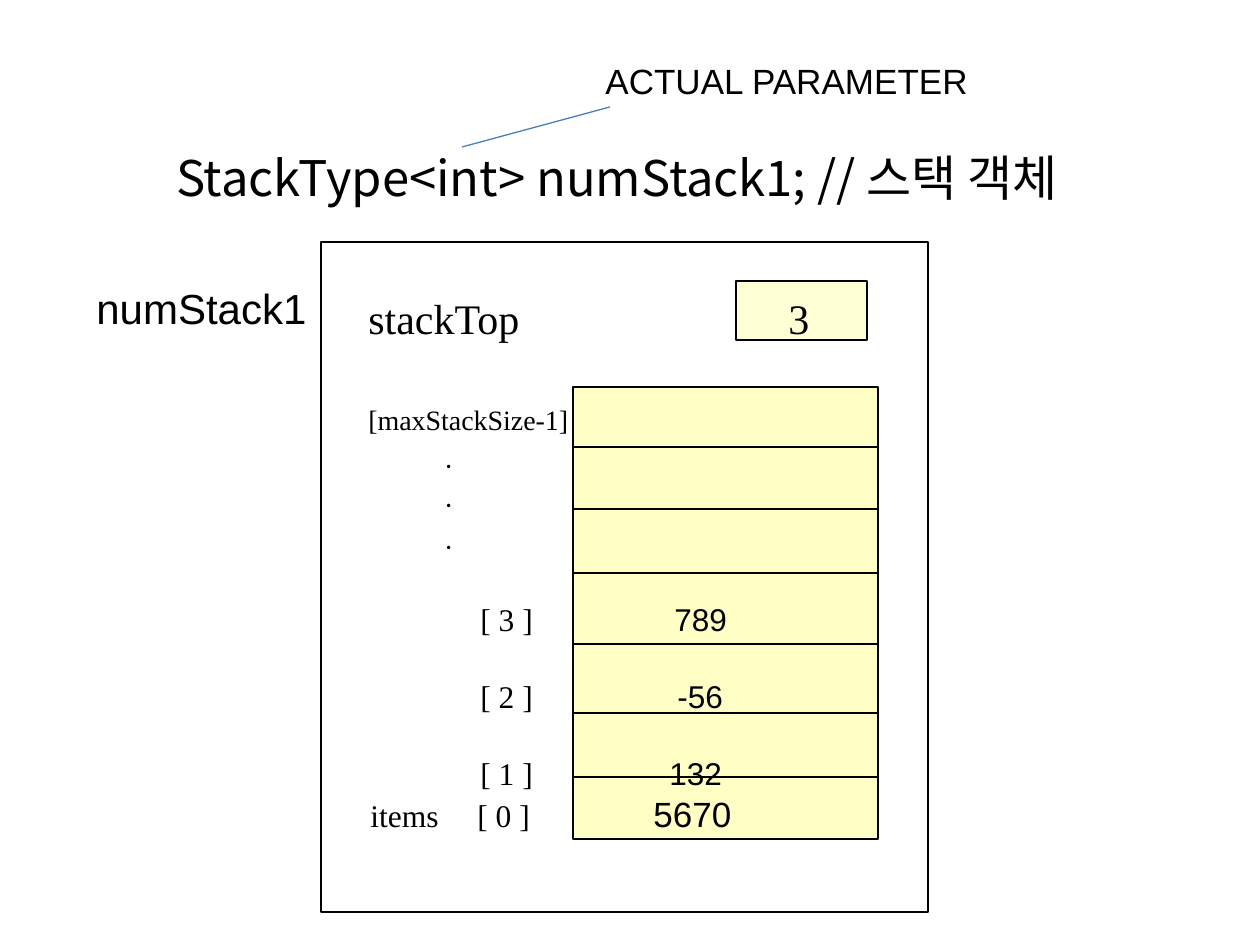
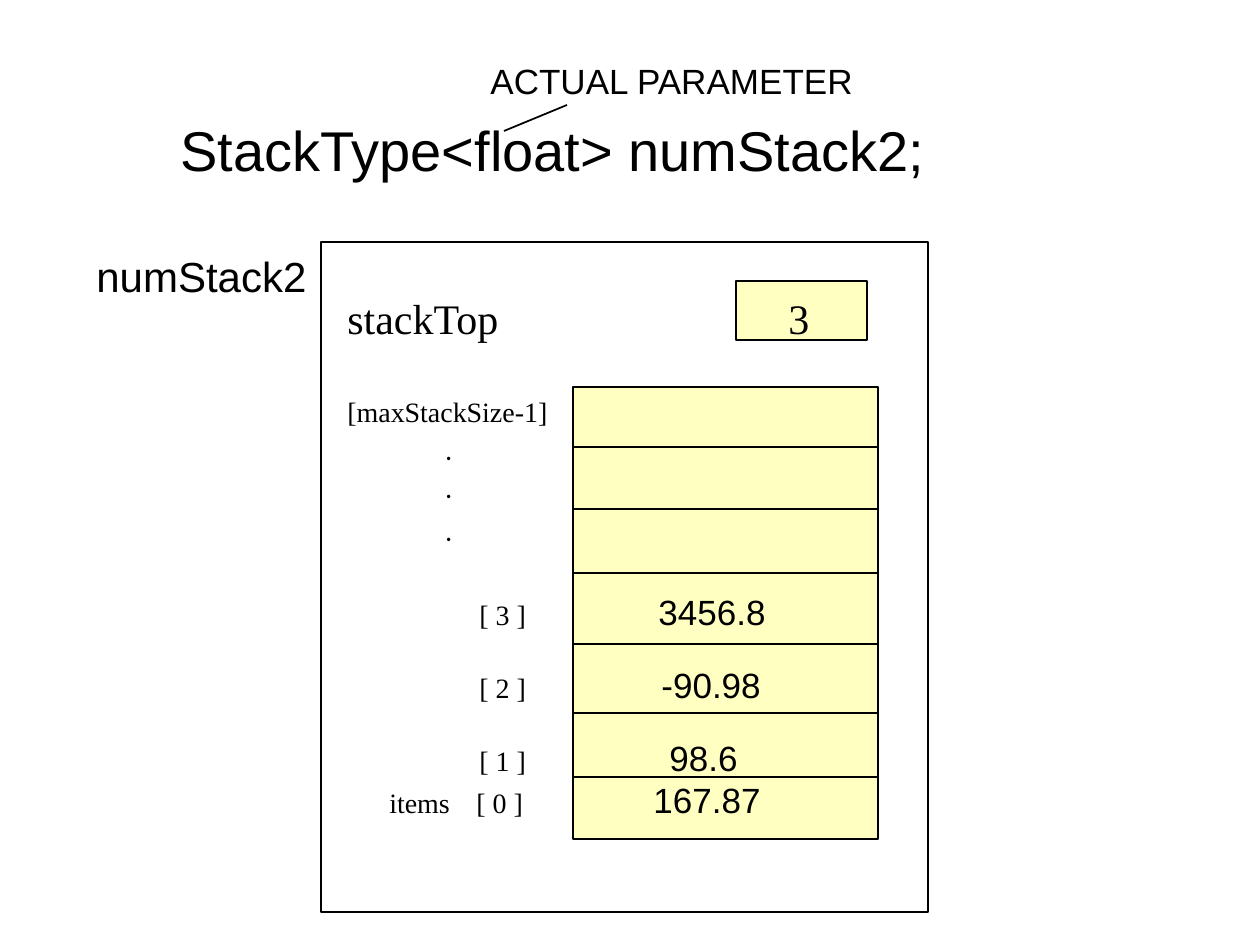
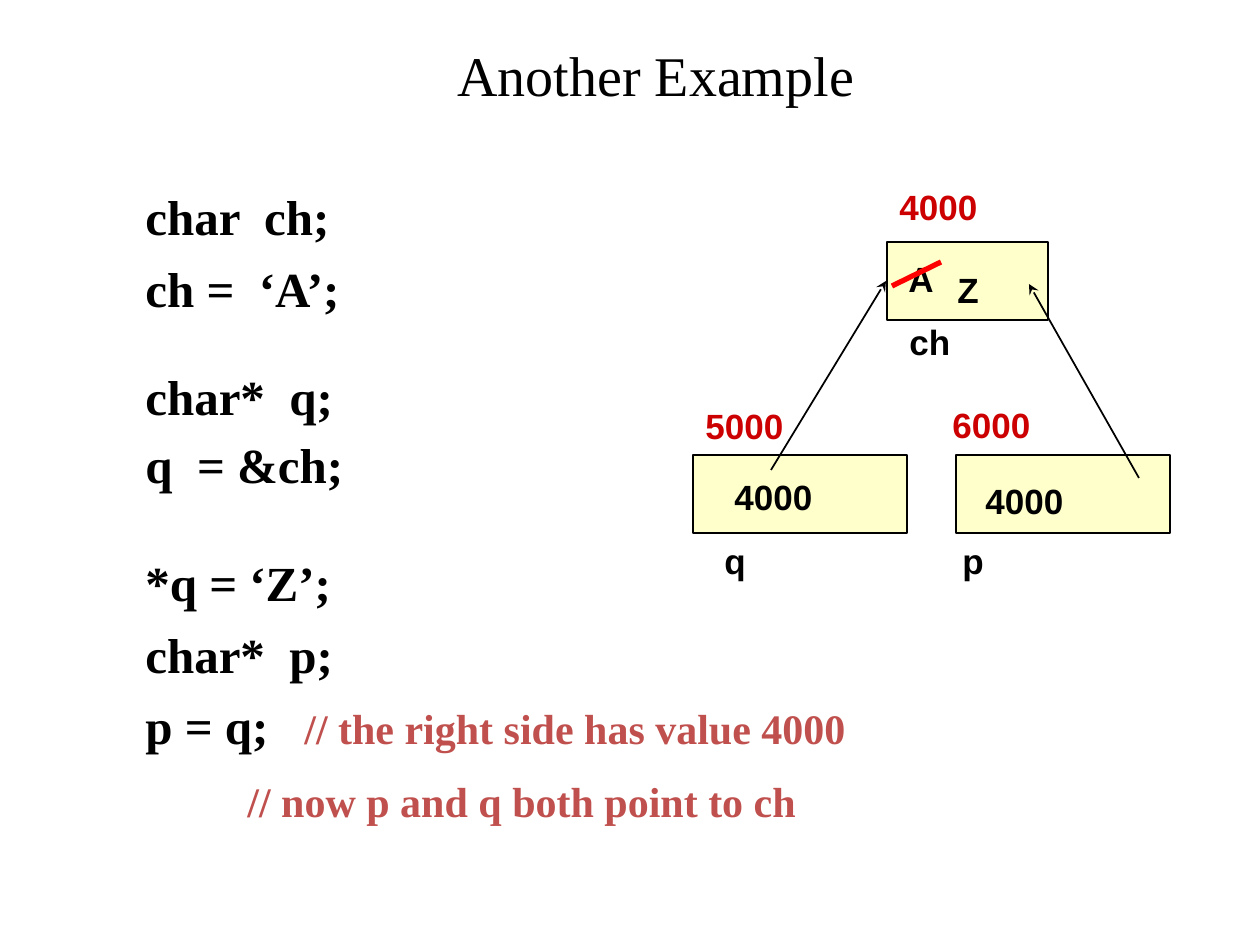
from lxml import etree
from pptx import Presentation
from pptx.dml.color import RGBColor as RGB
from pptx.enum.shapes import MSO_CONNECTOR as LINE, MSO_SHAPE as SHAPE
from pptx.enum.text import MSO_ANCHOR as ANCHOR, PP_ALIGN as ALIGN
from pptx.oxml.ns import qn
from pptx.util import Pt

SCALE = 914400 / 126  # EMU in one px
PITCH = 1.22          # line height as a share of the text size
INSET = 13            # px between the side of a box and its text

COLORS = {"ink": "000000", "callout": "4A7EBB", "address": "CC0000", "comment": "C0504D",
          "strike": "FF0000", "top_1": "FFFFD5", "cells_1": "FFFFC5",
          "cells_2": "FFFFC1", "memory": "FFFFCC"}
SANS, SERIF, DOTS, KOREAN = "Arial", "Times New Roman", "Montserrat", "Noto Sans CJK KR"

# ---- Content: stack slides ----
# A row is (line size, size of the gap above, font, text size, [(x, text)], stored value)
STACKS = [
    {"title": "StackType<int> numStack1; // 스택 객체", "title_at": (3, 136, 1228, 116),
     "title_format": dict(size=28, font=KOREAN, align=ALIGN.CENTER, pitch=1.31),
     "name": ("numStack1", 84, 275), "parameter_at": (593, 53),
     "callout": (610, 107, 462, 147, "callout", 0.75),
     "top_fill": "top_1", "cell_fill": "cells_1", "value_size": 18,
     "rows": [
         (24, 0, SERIF, 24, [(369, "stackTop"), (789, "3")], None),
         (16, 28, SERIF, 16, [(369, "[maxStackSize-1]")], None),
         (18, 0, DOTS, 18, [(446, ".")], None),
         (18, 0, DOTS, 18, [(446, ".")], None),
         (20, 0, DOTS, 18, [(446, ".")], None),
         (18, 20, SERIF, 18, [(481, "[ 3 ]")], (675, "789", 18)),
         (18, 18, SERIF, 18, [(481, "[ 2 ]")], (678, "-56", 18)),
         (18, 18, SERIF, 18, [(481, "[ 1 ]")], (670, "132", 18)),
         (20, 0, SERIF, 18, [(371, "items"), (478, "[ 0 ]")], (654, "5670", 20))]},
    {"title": "StackType<float> numStack2;", "title_at": (168, 73, 850, 116),
     "title_format": dict(size=32, font=SANS, anchor=ANCHOR.BOTTOM),
     "name": ("numStack2", 84, 243), "parameter_at": (478, 53),
     "callout": (504, 131, 567, 105, "ink", 1),
     "top_fill": "cells_2", "cell_fill": "cells_2",
     "rows": [
         (24, 0, SERIF, 24, [(348, "stackTop"), (789, "3")], None),
         (16, 24, SERIF, 16, [(348, "[maxStackSize-1]")], None),
         (18, 0, DOTS, 18, [(446, ".")], None),
         (18, 0, DOTS, 18, [(446, ".")], None),
         (20, 0, DOTS, 18, [(446, ".")], None),
         (20, 20, SERIF, 16, [(480, "[ 3 ]")], (659, "3456.8", 20)),
         (20, 14, SERIF, 16, [(480, "[ 2 ]")], (662, "-90.98", 20)),
         (20, 14, SERIF, 16, [(480, "[ 1 ]")], (670, "98.6", 20)),
         (20, 0, SERIF, 16, [(390, "items"), (477, "[ 0 ]")], (654, "167.87", 20))]},
]
STACK_FRAME = (321, 242, 607, 670)
STACK_TOP = (736, 281, 131, 59)
STACK_CELLS = (573, 387, 305, 452)
DIVIDERS = [447, 509, 573, 644, 713, 777]
STACK_TEXT = (335, 285, 488, 630)

# ---- Content: pointer slide ----
# A code line is (space before in points, code, comment, px from the left to the comment)
CODE = [(0, "char  ch;", "", 0), (7, "ch =  ‘A’;", "", 0),
        (27.5, "char*  q;", "", 0), (4.5, "q  = &ch;", "", 0),
        (33.5, "*q = ‘Z’;", "", 0), (7, "char*  p;", "", 0),
        (6, "p = q;", "// the right side has value 4000", 159),
        (7, "", "// now p and q both point to ch", 102)]
MEMORY = [(887, 242, 161, 78), (693, 455, 214, 78), (956, 455, 214, 78)]
MEMORY_LABELS = [("4000", 887, 179, "address"), ("A", 896, 251, "ink"), ("ch", 897, 314, "ink"),
                 ("5000", 693, 398, "address"), ("4000", 722, 469, "ink"), ("q", 712, 533, "ink"),
                 ("Z", 945, 262, "ink"), ("6000", 940, 397, "address"),
                 ("4000", 973, 473, "ink"), ("p", 950, 533, "ink")]
POINTERS = [(771, 470, 886, 281), (1139, 478, 1029, 284)]
STRIKE = (892, 286, 941, 262)


def px(*lengths):
    return [round(length * SCALE) for length in lengths]


def color(name):
    return RGB.from_string(COLORS[name])


def set_tabs(para, stops):
    tabs = etree.SubElement(para._p.get_or_add_pPr(), qn("a:tabLst"))
    for stop in stops:
        etree.SubElement(tabs, qn("a:tab"), pos=str(px(stop)[0]), algn="l")


def write(para, text, size=20, font=SANS, ink="ink", bold=False):
    run = para.add_run()
    run.text = text
    run.font.size, run.font.name, run.font.bold = Pt(size), font, bold
    run.font.color.rgb = color(ink)
    if font == KOREAN:
        etree.SubElement(run._r.get_or_add_rPr(), qn("a:ea"), typeface=font)


def space(para, size, before=0, pitch=PITCH):
    para.line_spacing = Pt(round(size * pitch, 1))
    para.space_before = Pt(round(before, 1))


def text_frame(slide, left, top, width, height):
    frame = slide.shapes.add_textbox(*px(left, top, width, height)).text_frame
    frame.word_wrap = True
    return frame


def add_label(slide, text, left, top, size=20, **style):
    frame = text_frame(slide, left, top, 400, 60)
    frame.word_wrap = False
    space(frame.paragraphs[0], size)
    write(frame.paragraphs[0], text, size, **style)


def add_title(slide, text, place, size=32, font=SERIF, align=ALIGN.LEFT,
              anchor=ANCHOR.TOP, pitch=PITCH):
    title = slide.shapes.title
    title.left, title.top, title.width, title.height = px(*place)
    title.text_frame.vertical_anchor = anchor
    para = title.text_frame.paragraphs[0]
    para.alignment = align
    space(para, size, pitch=pitch)
    write(para, text, size, font)


def add_box(slide, place, fill=None):
    box = slide.shapes.add_shape(SHAPE.RECTANGLE, *px(*place))
    box.shadow.inherit = False
    if fill:
        box.fill.solid()
        box.fill.fore_color.rgb = color(fill)
    else:
        box.fill.background()
    box.line.color.rgb, box.line.width = color("ink"), Pt(1)


def add_line(slide, x1, y1, x2, y2, ink="ink", width=1, arrow=False):
    line = slide.shapes.add_connector(LINE.STRAIGHT, *px(x1, y1, x2, y2))
    line.line.color.rgb, line.line.width = color(ink), Pt(width)
    if arrow:
        etree.SubElement(line.line._get_or_add_ln(), qn("a:tailEnd"), type="stealth")
    etree.SubElement(line._element.spPr, qn("a:effectLst"))


def paragraphs(frame, items):
    for i, item in enumerate(items):
        yield (frame.add_paragraph() if i else frame.paragraphs[0]), item


def build_stack(slide, stack):
    add_title(slide, stack["title"], stack["title_at"], **stack["title_format"])
    # Stack object with its cells
    add_box(slide, STACK_FRAME)
    add_box(slide, STACK_TOP, stack["top_fill"])
    add_box(slide, STACK_CELLS, stack["cell_fill"])
    left, _, width, _ = STACK_CELLS
    for y in DIVIDERS:
        add_line(slide, left, y, left + width, y)
    # Indexes and values, set out on tab stops
    frame = text_frame(slide, *STACK_TEXT)
    origin = STACK_TEXT[0] + INSET
    for para, (line, gap, font, size, cells, value) in paragraphs(frame, stack["rows"]):
        space(para, line, gap * PITCH)
        parts = [(x, text, size, font) for x, text in cells]
        if value:
            x, text, value_size = value
            parts.append((x, text, value_size, SANS))
        set_tabs(para, [x - origin for x, *_ in parts if x > origin])
        for x, text, part_size, part_font in parts:
            write(para, "\t" * (x > origin) + text, part_size, part_font)
    # Callout and object name
    add_label(slide, "ACTUAL PARAMETER", *stack["parameter_at"])
    add_line(slide, *stack["callout"])
    add_label(slide, *stack["name"], size=24)


def build_pointers(slide):
    add_title(slide, "Another Example", (147, 21, 1018, 105),
              align=ALIGN.CENTER, anchor=ANCHOR.MIDDLE)
    # Code
    frame = text_frame(slide, 133, 179, 1127, 656)
    for para, (before, code, comment, stop) in paragraphs(frame, CODE):
        space(para, 28, before)
        if code:
            write(para, code, 28, SERIF, bold=True)
        if comment:
            set_tabs(para, [stop])
            write(para, "\t" + comment, 24, SERIF, "comment", True)
    # Memory cells and pointers
    for place in MEMORY:
        add_box(slide, place, "memory")
    for pointer in POINTERS:
        add_line(slide, *pointer, arrow=True)
    for text, left, top, ink in MEMORY_LABELS:
        add_label(slide, text, left, top, ink=ink, bold=True)
    add_line(slide, *STRIKE, ink="strike", width=3)


def main():
    deck = Presentation()
    deck.slide_width, deck.slide_height = px(1260, 945)
    title_only = deck.slide_layouts[5]
    for stack in STACKS:
        build_stack(deck.slides.add_slide(title_only), stack)
    build_pointers(deck.slides.add_slide(title_only))
    deck.save("out.pptx")


if __name__ == "__main__":
    main()
